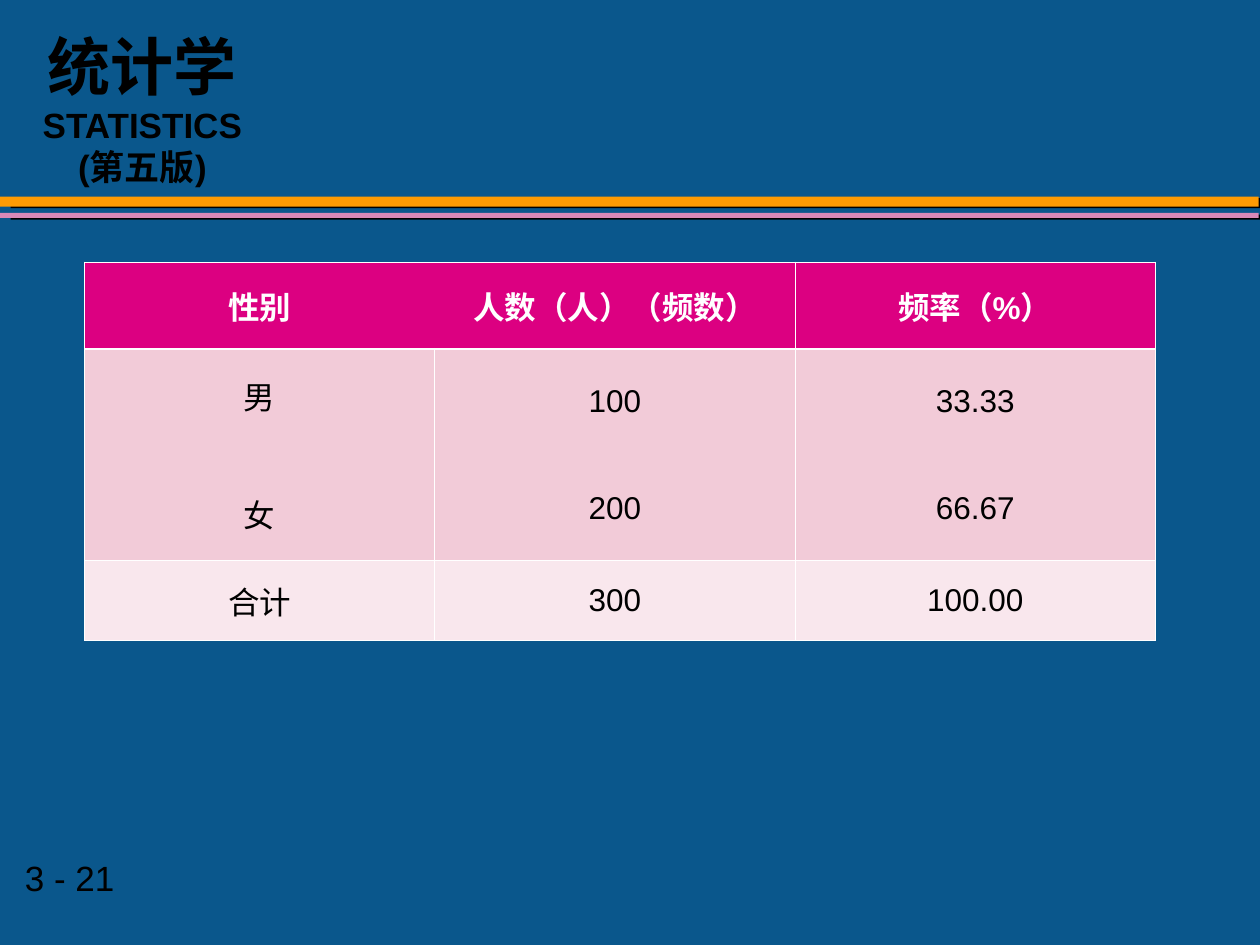
import pptx
import pptx.util
import pptx.dml.color
import pptx.enum.shapes
import pptx.enum.text
import pptx.oxml
import pptx.oxml.ns
from pptx.util import Inches


def rgb(value):
    return pptx.dml.color.RGBColor.from_string(value)


def add_text(p, text, size=18, color="000000", bold=False, align="CENTER", before=0):
    p.alignment = getattr(pptx.enum.text.PP_ALIGN, align)
    if before:
        p.space_before = pptx.util.Pt(before)
    r = p.add_run()
    r.text = text
    r.font.name = "Arial"
    r.font.size = pptx.util.Pt(size)
    r.font.bold = bold
    r.font.color.rgb = rgb(color)


NS = pptx.oxml.ns.nsdecls("a")
SHADOW = (
    f'<a:effectLst {NS}><a:outerShdw dist="77470" dir="540000" algn="ctr" rotWithShape="0">'
    '<a:srgbClr val="000000"/></a:outerShdw></a:effectLst>'
)

prs = pptx.Presentation()
prs.slide_width, prs.slide_height = Inches(10), Inches(7.5)
s = prs.slides.add_slide(prs.slide_layouts[6])
s.background.fill.solid()
s.background.fill.fore_color.rgb = rgb("0A578C")

for top, height, color in [(1.56, 0.08, "FE9B03"), (1.69, 0.04, "D989B8")]:
    sp = s.shapes.add_shape(
        pptx.enum.shapes.MSO_SHAPE.RECTANGLE, 0, Inches(top), Inches(9.99), Inches(height)
    )
    sp.fill.solid()
    sp.fill.fore_color.rgb = rgb(color)
    sp.line.fill.background()
    sp._element.spPr.append(pptx.oxml.parse_xml(SHADOW))

page = s.shapes.add_textbox(Inches(0.1), Inches(6.75), Inches(1.87), Inches(0.43))
page.text_frame.word_wrap = True
add_text(page.text_frame.paragraphs[0], "3 - 21", size=20, align="LEFT")

brand = s.shapes.add_textbox(Inches(0.17), Inches(0.11), Inches(1.92), Inches(1.43))
tf = brand.text_frame
tf.word_wrap = True
tf.margin_top = Inches(0.11)
add_text(tf.paragraphs[0], "统计学", size=36, bold=True)
add_text(tf.paragraphs[0], "STATISTICS", size=20, bold=True)
add_text(tf.add_paragraph(), "(第五版)", size=20, bold=True)

rows = [
    (0.69, "DC0081", "FFFFFF", [["性别"], ["人数（人）（频数）"], ["频率（%）"]]),
    (1.68, "F2CBD8", "000000", [["男", "女"], ["100", "200"], ["33.33", "66.67"]]),
    (0.63, "F9E7ED", "000000", [["合计"], ["300"], ["100.00"]]),
]
table = s.shapes.add_table(3, 3, Inches(0.67), Inches(2.08), Inches(8.5), Inches(3)).table
for col, width in zip(table.columns, [2.78, 2.86, 2.86]):
    col.width = Inches(width)

for i, (height, fill, color, texts) in enumerate(rows):
    table.rows[i].height = Inches(height)
    for j, lines in enumerate(texts):
        cell = table.cell(i, j)
        cell.vertical_anchor = pptx.enum.text.MSO_ANCHOR.MIDDLE
        tf = cell.text_frame
        for k, line in enumerate(lines):
            p = tf.add_paragraph() if k else tf.paragraphs[0]
            add_text(p, line, color=color, bold=i == 0, before=41 * k)

        widths = {"L": 0.45, "R": 0.45, "T": 1.47 if i == 1 else 0.45, "B": 1.47 if i == 0 else 0.45}
        if i == 0 and j < 2:
            widths["R" if j == 0 else "L"] = 0
        tcPr = cell._tc.get_or_add_tcPr()
        for side, width in widths.items():
            paint = '<a:solidFill><a:srgbClr val="FFFFFF"/></a:solidFill>' if width else "<a:noFill/>"
            tcPr.append(pptx.oxml.parse_xml(
                f'<a:ln{side} {NS} w="{pptx.util.Pt(width)}">{paint}</a:ln{side}>'
            ))
        cell.fill.solid()
        cell.fill.fore_color.rgb = rgb(fill)

prs.save("out.pptx")
